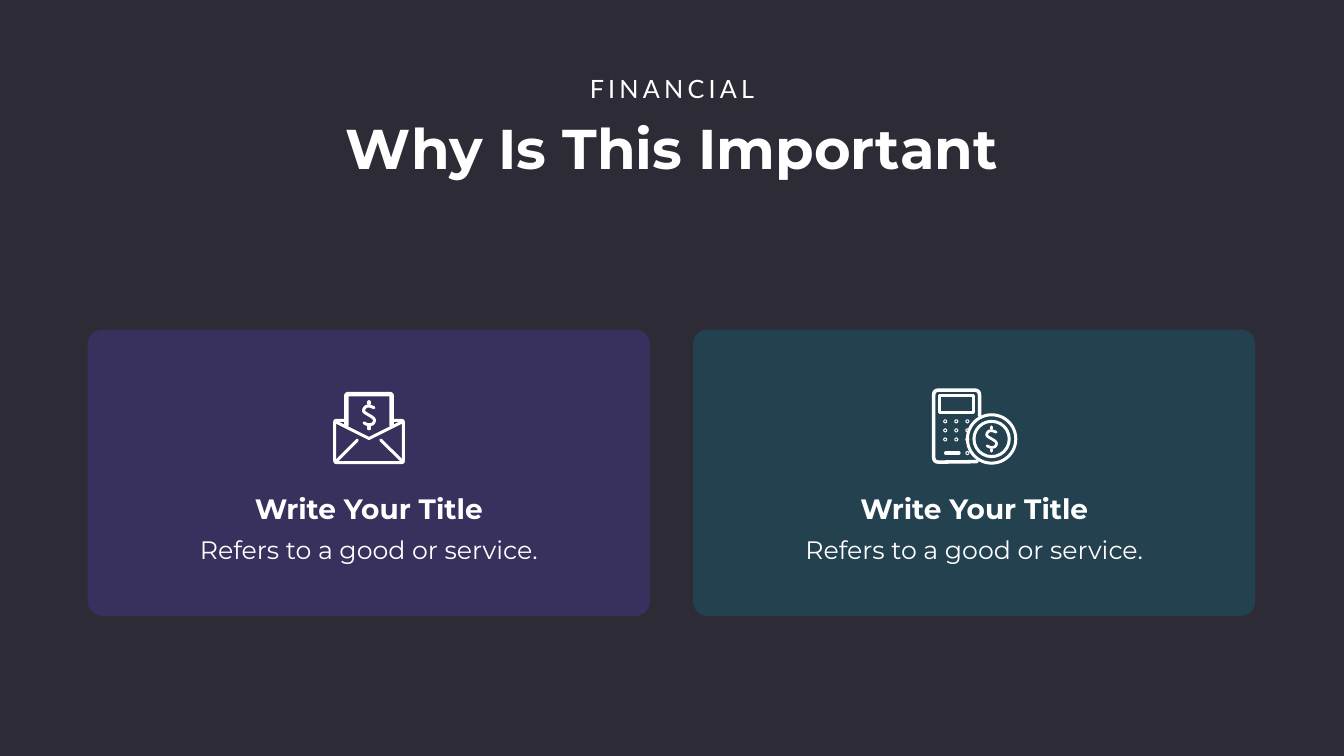
"""Build the "Why Is This Important" slide with two illustrated cards."""
from dataclasses import dataclass
from itertools import product
from math import dist

from pptx import Presentation
from pptx import util as u
from pptx.dml.color import RGBColor
from pptx.dml.fill import FillFormat
from pptx.enum import shapes, text
from pptx.oxml import ns, xmlchemy
from pptx.shapes.shapetree import SlideShapes

Point = tuple[float, float]
WIDTH, HEIGHT = 26.66, 15
WHITE = "FFFFFF"
CARD_TOP, CARD_WIDTH, CARD_HEIGHT = 6.54, 11.15, 5.68
STROKE = 0.06


@dataclass(frozen=True)
class Card:
    left: float
    tint: str
    title: str = "Write Your Title"
    body: str = "Refers to a good or service."

    @property
    def middle(self) -> float:
        return self.left + CARD_WIDTH / 2


@dataclass(frozen=True)
class Stroke:
    points: tuple[Point, ...]
    weight: float = STROKE
    radius: float = 0.04
    closed: bool = False


@dataclass(frozen=True)
class Ring:
    center: Point
    radius: float
    weight: float = STROKE


CARDS = (Card(13.75, "0098BA"), Card(1.74, "6642FB"))
ENVELOPE = (
    Stroke(((6.86, 8.34), (6.64, 8.34), (6.64, 9.18), (8, 9.18), (8, 8.34), (7.77, 8.34))),
    Stroke(((6.64, 8.36), (7.32, 8.7), (8, 8.36)), radius=0),
    Stroke(((7.55, 8.73), (8, 9.17))),
    Stroke(((7.09, 8.73), (6.66, 9.16))),
    Stroke(((6.87, 8.44), (6.87, 7.82), (7.77, 7.82), (7.77, 8.44)), weight=0.09),
)
CALCULATOR = (
    Stroke(((19.43, 8.25), (19.43, 7.74), (18.52, 7.74), (18.52, 9.17), (19.38, 9.16)),
           weight=0.07, radius=0.1),
    Stroke(((18.76, 8.99), (19.02, 8.99)), weight=0.07),
    Stroke(((18.63, 7.85), (19.31, 7.85), (19.31, 8.18), (18.63, 8.18)), radius=0, closed=True),
)
KEYS = [(18.75 + 0.22 * column, 8.36 + 0.18 * row)
        for row, column in product(range(3), repeat=2)] + [(19.19, 8.99)]
COIN_CENTER = (19.67, 8.71)
DOLLAR_CURVE = ((-0.1, 0.15), (-0.03, 0.19), (0.08, 0.18), (0.12, 0.09), (0.06, 0.03),
                (-0.05, -0.03), (-0.12, -0.08), (-0.08, -0.17), (0, -0.19), (0.1, -0.15))


def paint(fill: FillFormat, color: str) -> None:
    fill.solid()
    fill.fore_color.rgb = RGBColor.from_string(color)


def add_block(tree: SlideShapes, kind: shapes.MSO_SHAPE, box: tuple[float, ...], color: str):
    block = tree.add_shape(kind, *map(u.Inches, box))
    block.shadow.inherit = False
    block.line.fill.background()
    paint(block.fill, color)
    return block


def add_text(tree: SlideShapes, words: str, middle: float, top: float,
             size: tuple[float, float], font: dict, inset: Point = (0.1, 0.05),
             spacing: int = 0) -> None:
    width, height = size
    label = tree.add_textbox(*map(u.Inches, (middle - width / 2, top, width, height)))
    frame = label.text_frame
    across, down = map(u.Inches, inset)
    layout = {"word_wrap": True, "margin_left": across, "margin_right": across,
              "margin_top": down, "margin_bottom": down}
    for name, value in layout.items():
        setattr(frame, name, value)
    paragraph = frame.paragraphs[0]
    paragraph.alignment = text.PP_ALIGN.CENTER
    run = paragraph.add_run()
    run.text = words
    for name, value in font.items():
        setattr(run.font, name, value)
    paint(run.font.fill, WHITE)
    if spacing:
        run.font.fill  # noqa
        run._r.get_or_add_rPr().set("spc", str(spacing * 100))


def add_card(tree: SlideShapes, card: Card) -> None:
    panel = add_block(tree, shapes.MSO_SHAPE.ROUNDED_RECTANGLE,
                      (card.left, CARD_TOP, CARD_WIDTH, CARD_HEIGHT), card.tint)
    panel.adjustments[0] = 0.05
    tint = panel.fill._xPr.find(ns.qn("a:solidFill"))[0]
    tint.append(xmlchemy.OxmlElement("a:alpha"))
    tint[0].set("val", "20000")
    add_text(tree, card.body, card.middle, 10.48, (7.18, 0.85),
             {"name": "Montserrat", "size": u.Pt(36)}, inset=(0.24, 0.12))
    add_text(tree, card.title, card.middle, 9.71, (5.67, 0.77),
             {"name": "Montserrat", "size": u.Pt(40), "bold": True})


def soften(points: tuple[Point, ...], radius: float) -> list[Point]:
    curve = [points[0]]
    for before, corner, after in zip(points, points[1:], points[2:]):
        ends = []
        for neighbour in (before, after):
            length = dist(corner, neighbour)
            share = min(radius, length / 2) / length
            ends.append([c + (n - c) * share for c, n in zip(corner, neighbour)])
        for t in (0, 0.25, 0.5, 0.75, 1):
            curve.append(tuple((1 - t) ** 2 * a + 2 * t * (1 - t) * c + t * t * b
                               for a, c, b in zip(ends[0], corner, ends[1])))
    return curve + [points[-1]]


def outline(drawn, weight: float) -> None:
    paint(drawn.line.fill, WHITE)
    drawn.line.width = u.Inches(weight)
    properties = drawn._element.spPr
    properties.find(ns.qn("a:ln")).set("cap", "rnd")
    if properties.find(ns.qn("a:effectLst")) is None:
        properties.append(xmlchemy.OxmlElement("a:effectLst"))


def add_stroke(tree: SlideShapes, stroke: Stroke) -> None:
    if len(stroke.points) == 2:
        start, end = stroke.points
        drawn = tree.add_connector(shapes.MSO_CONNECTOR.STRAIGHT,
                                   *map(u.Inches, (*start, *end)))
    else:
        curve = soften(stroke.points, stroke.radius) if stroke.radius else stroke.points
        start, *others = [tuple(map(u.Inches, point)) for point in curve]
        builder = tree.build_freeform(*start)
        builder.add_line_segments(others, close=stroke.closed)
        drawn = builder.convert_to_shape()
        drawn.fill.background()
    outline(drawn, stroke.weight)


def add_ring(tree: SlideShapes, ring: Ring) -> None:
    (x, y), radius = ring.center, ring.radius
    box = (x - radius, y - radius, 2 * radius, 2 * radius)
    drawn = tree.add_shape(shapes.MSO_SHAPE.OVAL, *map(u.Inches, box))
    drawn.fill.background()
    outline(drawn, ring.weight)


def add_dollar(tree: SlideShapes, center: Point, scale: float) -> None:
    x, y = center
    parts = [DOLLAR_CURVE, ((0, -0.27), (0, -0.23)), ((0, 0.23), (0, 0.27))]
    for part in parts:
        points = tuple((x + dx * scale, y + dy * scale) for dx, dy in part)
        add_stroke(tree, Stroke(points, weight=STROKE * scale, radius=1))


def main() -> None:
    deck = Presentation()
    deck.slide_width, deck.slide_height = u.Inches(WIDTH), u.Inches(HEIGHT)
    tree = deck.slides.add_slide(deck.slide_layouts[6]).shapes
    add_block(tree, shapes.MSO_SHAPE.RECTANGLE, (0, 0, WIDTH, HEIGHT), "2D2C36")
    for card in CARDS:
        add_card(tree, card)
    add_text(tree, "Why Is This Important", WIDTH / 2, 2.21, (14.63, 1.45),
             {"name": "Montserrat", "size": u.Pt(80), "bold": True})
    add_text(tree, "FINANCIAL", WIDTH / 2, 1.4, (3.68, 0.71),
             {"name": "Lato", "size": u.Pt(36)}, spacing=6)
    for stroke in ENVELOPE + CALCULATOR:
        add_stroke(tree, stroke)
    for key in KEYS:
        add_ring(tree, Ring(key, 0.03, 0.02))
    for radius in (0.48, 0.35):
        add_ring(tree, Ring(COIN_CENTER, radius))
    add_dollar(tree, (7.32, 8.24), 1)
    add_dollar(tree, COIN_CENTER, 0.9)
    deck.save("out.pptx")


if __name__ == "__main__":
    main()
